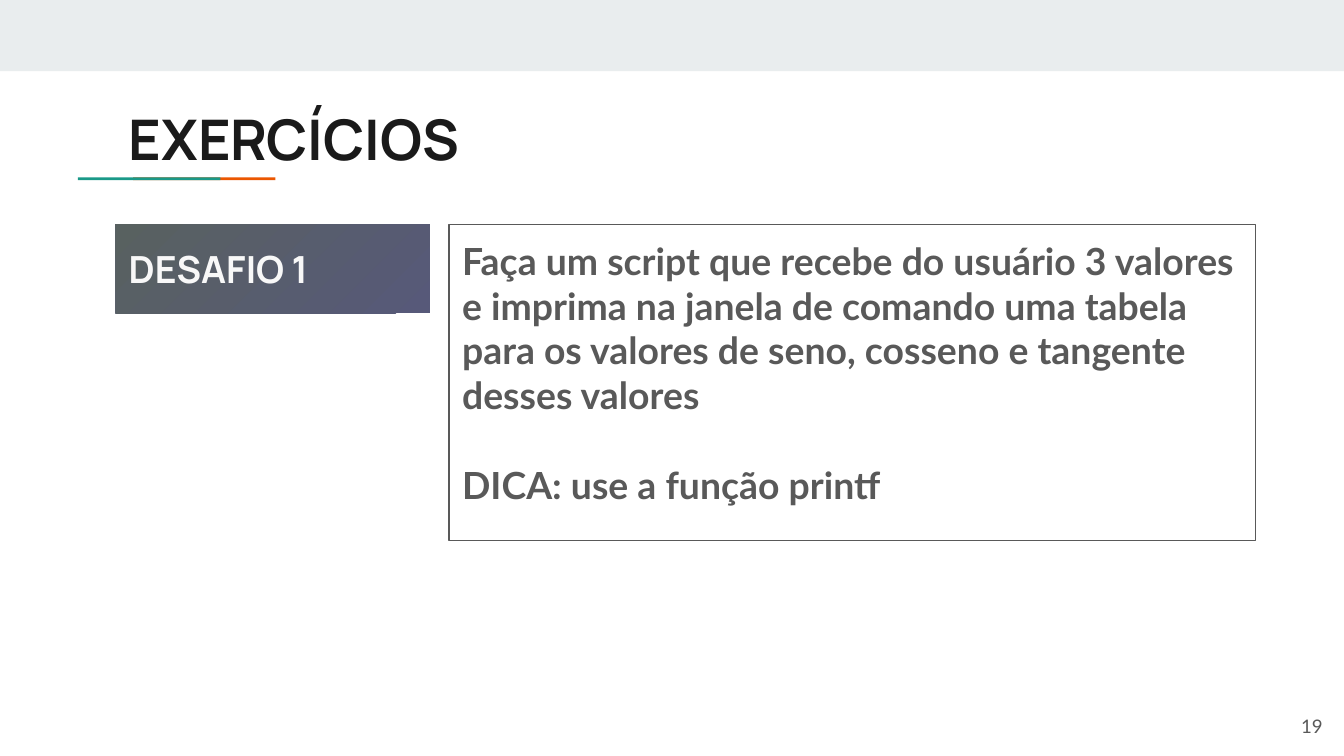
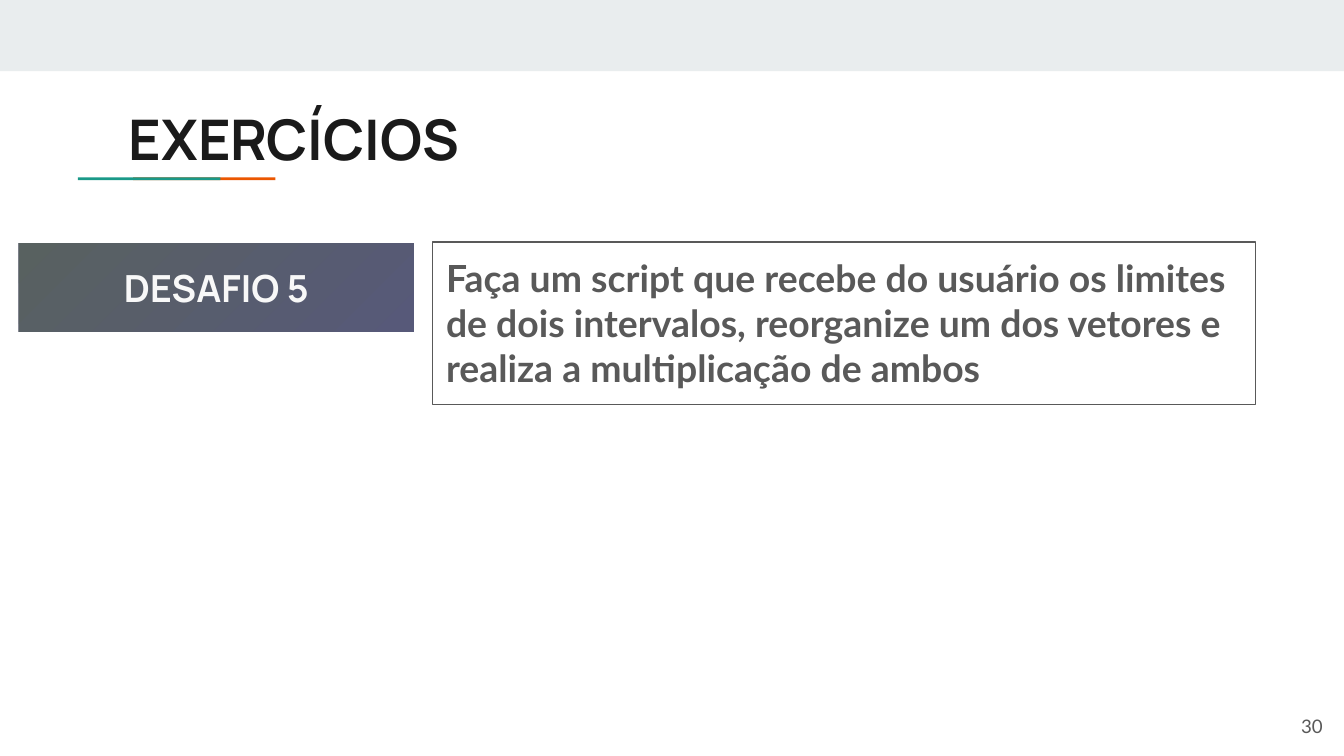
from dataclasses import dataclass

from pptx import Presentation
from pptx.dml.color import RGBColor
from pptx.enum.shapes import MSO_SHAPE
from pptx.enum.text import MSO_ANCHOR, PP_ALIGN
from pptx.shapes.autoshape import Shape
from pptx.slide import Slide
from pptx.util import Inches, Pt

RECTANGLE = MSO_SHAPE.RECTANGLE
TOP, MIDDLE = MSO_ANCHOR.TOP, MSO_ANCHOR.MIDDLE
LEFT, CENTER, RIGHT = PP_ALIGN.LEFT, PP_ALIGN.CENTER, PP_ALIGN.RIGHT

COLORS = {
    "band": "E9EDEE",
    "orange": "EB5600",
    "teal": "1A9988",
    "title": "1A1A1A",
    "body": "595959",
    "label": "F8F8F8",
    "label_start": "575979",
    "label_end": "586160",
}
HEADING_FONT, BODY_FONT = "Manrope", "Lato"


@dataclass(frozen=True)
class Box:
    left: float
    top: float
    width: float
    height: float

    def lengths(self) -> list[Inches]:
        return [Inches(v) for v in (self.left, self.top, self.width, self.height)]


@dataclass(frozen=True)
class TextStyle:
    font: str
    size: int
    color: str
    bold: bool = True
    align: PP_ALIGN = LEFT
    anchor: MSO_ANCHOR = TOP
    gap: int = 0


@dataclass(frozen=True)
class Challenge:
    label: str
    label_box: Box
    label_align: PP_ALIGN
    task: list[str]
    task_box: Box
    page: int


TITLE_STYLE = TextStyle(HEADING_FONT, 30, "title")
TASK_STYLE = TextStyle(BODY_FONT, 20, "body", gap=24)
PAGE_STYLE = TextStyle(BODY_FONT, 10, "body", bold=False, align=RIGHT, anchor=MIDDLE)

CHALLENGES = [
    Challenge(
        "DESAFIO 1", Box(0.86, 1.67, 2.34, 0.66), LEFT,
        ["Faça um script que recebe do usuário 3 valores e imprima na janela de "
         "comando uma tabela para os valores de seno, cosseno e tangente desses valores",
         "DICA: use a função printf"],
        Box(3.34, 1.67, 6, 2.35), 19,
    ),
    Challenge(
        "DESAFIO 5", Box(0.14, 1.81, 2.94, 0.66), CENTER,
        ["Faça um script que recebe do usuário os limites de dois intervalos, "
         "reorganize um dos vetores e realiza a multiplicação de ambos"],
        Box(3.22, 1.8, 6.12, 1.21), 30,
    ),
]


def rgb(name: str) -> RGBColor:
    return RGBColor.from_string(COLORS[name])


def add_rectangle(slide: Slide, box: Box, fill: str | None = None) -> Shape:
    rectangle = slide.shapes.add_shape(RECTANGLE, *box.lengths())
    rectangle.shadow.inherit = False
    rectangle.line.fill.background()
    if fill:
        rectangle.fill.solid()
        rectangle.fill.fore_color.rgb = rgb(fill)
    else:
        rectangle.fill.background()
    return rectangle


def write(shape: Shape, paragraphs: list[str], style: TextStyle) -> None:
    frame = shape.text_frame
    frame.word_wrap = True
    frame.vertical_anchor = style.anchor
    frame.margin_left = frame.margin_right = Inches(0.1)
    frame.margin_top = frame.margin_bottom = Inches(0.1)
    frame.text = "\n".join(paragraphs)
    for index, paragraph in enumerate(frame.paragraphs):
        paragraph.alignment = style.align
        if index:
            paragraph.space_before = Pt(style.gap)
        for run in paragraph.runs:
            run.font.name = style.font
            run.font.size = Pt(style.size)
            run.font.bold = style.bold
            run.font.color.rgb = rgb(style.color)


def add_text(slide: Slide, box: Box, text: str, style: TextStyle) -> None:
    write(slide.shapes.add_textbox(*box.lengths()), [text], style)


def add_frame(slide: Slide, page: int) -> None:
    # Top band, two-colour title rule, title and page number
    add_rectangle(slide, Box(0, 0, 10, 0.53), "band")
    add_rectangle(slide, Box(0.99, 1.32, 1.06, 0.02), "orange")
    add_rectangle(slide, Box(0.58, 1.32, 1.06, 0.02), "teal")
    add_text(slide, Box(0.86, 0.68, 8.41, 0.59), "EXERCÍCIOS", TITLE_STYLE)
    add_text(slide, Box(9.34, 5.19, 0.6, 0.43), str(page), PAGE_STYLE)


def add_challenge(slide: Slide, challenge: Challenge) -> None:
    # Gradient label
    label = add_rectangle(slide, challenge.label_box)
    label.fill.gradient()
    label.fill.gradient_angle = 135
    for stop, color in zip(label.fill.gradient_stops, ("label_start", "label_end")):
        stop.color.rgb = rgb(color)
    label_style = TextStyle(
        HEADING_FONT, 20, "label", align=challenge.label_align, anchor=MIDDLE
    )
    write(label, [challenge.label], label_style)

    # Outlined task
    task = add_rectangle(slide, challenge.task_box)
    task.line.color.rgb = rgb("body")
    task.line.width = Pt(0.75)
    write(task, challenge.task, TASK_STYLE)


def main() -> None:
    deck = Presentation()
    # Widescreen, 16:9
    deck.slide_width = Inches(10)
    deck.slide_height = Inches(10) * 9 // 16
    blank = deck.slide_layouts[6]
    for challenge in CHALLENGES:
        slide = deck.slides.add_slide(blank)
        add_frame(slide, challenge.page)
        add_challenge(slide, challenge)
    deck.save("out.pptx")


if __name__ == "__main__":
    main()
